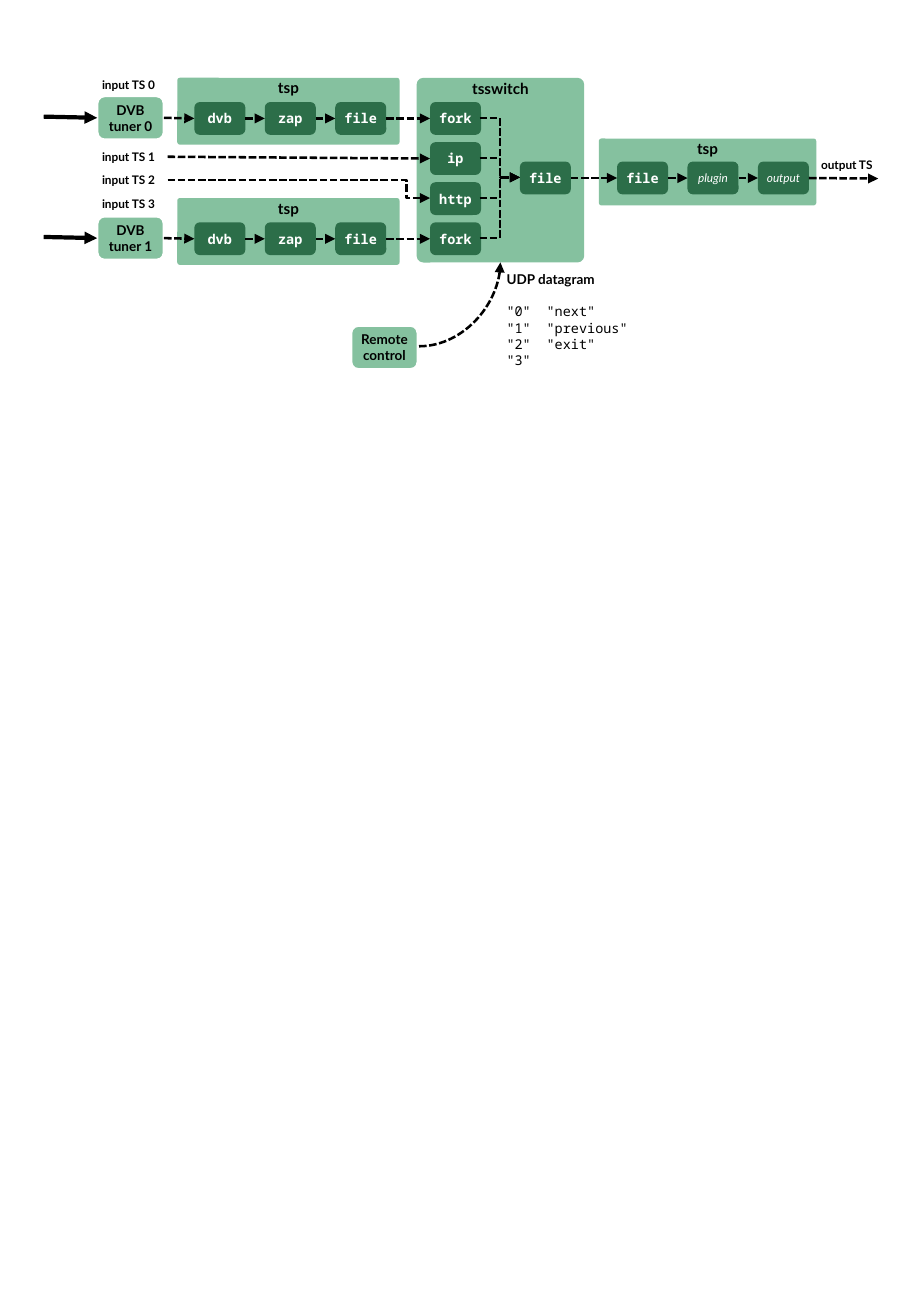
from dataclasses import dataclass

from lxml import etree
from pptx import Presentation
from pptx import util as u
from pptx.dml.color import RGBColor
from pptx.enum import dml, shapes, text
from pptx.oxml.ns import qn


@dataclass(frozen=True)
class Theme:
    """Colours, fonts and type sizes of the diagram."""
    black: str = "000000"
    white: str = "FFFFFF"
    light: str = "85C19F"
    dark: str = "2C6E49"
    sans: str = "Lato"
    mono: str = "Noto Sans Mono"
    title: int = 9
    body: int = 8
    small: int = 7
    thin: float = 1.5
    thick: float = 2.5


class Diagram:
    """Draws the boxes, labels and arrows of one slide in a theme."""

    def __init__(self, slide, theme):
        self.slide = slide
        self.theme = theme

    def apply(self, target, formats):
        for name, value in formats.items():
            setattr(target, name, value)

    def frame(self, shape, anchor, insets):
        left, top, right, bottom = map(u.Inches, insets)
        self.apply(shape.text_frame, {
            "word_wrap": True, "vertical_anchor": anchor,
            "margin_left": left, "margin_top": top,
            "margin_right": right, "margin_bottom": bottom})
        return shape.text_frame

    def add_words(self, paragraph, words, size, color=None, name=None,
                  bold=True, italic=False, alignment=text.PP_ALIGN.LEFT):
        paragraph.alignment = alignment
        run = paragraph.add_run()
        run.text = words
        self.apply(run.font, {
            "size": u.Pt(size), "name": name or self.theme.sans,
            "bold": bold, "italic": italic})
        run.font.color.rgb = RGBColor.from_string(color or self.theme.black)

    def box(self, place, fill, lines, size, insets=(0.04, 0.05, 0.04, 0.05),
            anchor=text.MSO_ANCHOR.MIDDLE, outlined=False, corner=None, **formats):
        shape = self.slide.shapes.add_shape(
            shapes.MSO_SHAPE.ROUNDED_RECTANGLE, *map(u.Inches, place))
        shape.shadow.inherit = False
        shape.fill.solid()
        shape.fill.fore_color.rgb = RGBColor.from_string(fill)
        if outlined:
            shape.line.color.rgb = RGBColor.from_string(self.theme.white)
            shape.line.width = u.Pt(self.theme.thin)
        else:
            shape.line.fill.background()
        if corner is not None:
            shape.adjustments[0] = corner
        frame = self.frame(shape, anchor, insets)
        for index, words in enumerate(lines):
            paragraph = frame.add_paragraph() if index else frame.paragraphs[0]
            self.add_words(paragraph, words, size,
                           alignment=text.PP_ALIGN.CENTER, **formats)
        return shape

    def panel(self, place, title):
        return self.box(place, self.theme.light, [title], self.theme.title,
                        insets=(0.1, 0, 0.1, 0.05),
                        anchor=text.MSO_ANCHOR.TOP, corner=0.04)

    def device(self, left, top, lines):
        return self.box((left, top, 0.55, 0.36), self.theme.light, lines,
                        self.theme.body, outlined=True)

    def command(self, left, top, words):
        return self.box((left, top, 0.42, 0.27), self.theme.dark, [words],
                        self.theme.body, color=self.theme.white,
                        name=self.theme.mono)

    def placeholder(self, left, top, words):
        return self.box((left, top, 0.42, 0.27), self.theme.dark, [words],
                        self.theme.small, insets=(0, 0.05, 0, 0.05),
                        color=self.theme.white, bold=False, italic=True)

    def label(self, place, words, size):
        shape = self.slide.shapes.add_textbox(*map(u.Inches, place))
        frame = self.frame(shape, text.MSO_ANCHOR.TOP, (0, 0, 0, 0))
        frame.auto_size = text.MSO_AUTO_SIZE.SHAPE_TO_FIT_TEXT
        self.add_words(frame.paragraphs[0], words, size)
        return frame

    def code_lines(self, frame, lines, gap, tab):
        for index, words in enumerate(lines):
            paragraph = frame.add_paragraph()
            paragraph.space_before = u.Pt(0 if index else gap)
            stops = etree.SubElement(paragraph._p.get_or_add_pPr(), qn("a:tabLst"))
            etree.SubElement(stops, qn("a:tab"), pos=str(u.Inches(tab)), algn="l")
            self.add_words(paragraph, words, self.theme.body,
                           name=self.theme.mono, bold=False)

    def arrow(self, start, end, kind=shapes.MSO_CONNECTOR.STRAIGHT, solid=False):
        points = [point if isinstance(point, tuple) else (0, 0)
                  for point in (start, end)]
        connector = self.slide.shapes.add_connector(
            kind, *(u.Inches(value) for point in points for value in point))
        if not isinstance(start, tuple):
            connector.begin_connect(start, 3)
        if not isinstance(end, tuple):
            connector.end_connect(end, 1)
        connector.line.color.rgb = RGBColor.from_string(self.theme.black)
        connector.line.width = u.Pt(self.theme.thick if solid else self.theme.thin)
        if not solid:
            connector.line.dash_style = dml.MSO_LINE.SQUARE_DOT
        properties = connector._element.spPr
        etree.SubElement(properties.find(qn("a:ln")), qn("a:tailEnd"), type="triangle")
        etree.SubElement(properties, qn("a:effectLst"))
        return properties.find(qn("a:prstGeom"))

    def elbow(self, start, end, bend=0.5):
        geometry = self.arrow(start, end, shapes.MSO_CONNECTOR.ELBOW)
        guides = geometry.find(qn("a:avLst"))
        etree.SubElement(guides, qn("a:gd"), name="adj1",
                         fmla=f"val {round(bend * 100000)}")

    def quarter_curve(self, start, end):
        geometry = self.arrow(start, end, shapes.MSO_CONNECTOR.CURVE)
        geometry.set("prst", "curvedConnector2")

    def chain(self, items):
        for start, end in zip(items, items[1:]):
            self.arrow(start, end)


def main():
    presentation = Presentation()
    presentation.slide_width = u.Inches(7.5)
    presentation.slide_height = u.Inches(10.83)
    slide = presentation.slides.add_slide(presentation.slide_layouts[6])
    theme = Theme()
    diagram = Diagram(slide, theme)

    rows = [0.84 + 0.33 * index for index in range(4)]
    centers = [row + 0.13 for row in rows]
    step = 0.58
    output_row = 1.33
    output_center = 1.46

    diagram.panel((3.43, 0.64, 1.38, 1.52), "tsswitch")
    inputs = [diagram.command(3.54, row, words)
              for row, words in zip(rows, ("fork", "ip", "http", "fork"))]
    switch_file = diagram.command(4.28, output_row, "file")
    for center in centers:
        diagram.elbow((3.95, center), (4.28, output_center))

    for number, index in enumerate((0, 3)):
        row = rows[index]
        diagram.panel((1.46, row - 0.2, 1.83, 0.55), "tsp")
        tuner = diagram.device(0.8, row - 0.05, ["DVB", f"tuner {number}"])
        plugins = [diagram.command(1.6 + step * column, row, words)
                   for column, words in enumerate(("dvb", "zap", "file"))]
        diagram.chain([tuner, *plugins, inputs[index]])
        diagram.arrow((0.36, centers[index] - 0.01), tuner, solid=True)

    diagram.panel((4.93, output_row - 0.19, 1.79, 0.55), "tsp")
    outputs = [diagram.command(5.08, output_row, "file"),
               diagram.placeholder(5.08 + step, output_row, "plugin"),
               diagram.placeholder(5.08 + 2 * step, output_row, "output")]
    diagram.chain([switch_file, *outputs, (7.23, 1.47)])

    diagram.arrow((1.38, 1.29), inputs[1])
    diagram.elbow((1.38, 1.48), (3.54, centers[2]), bend=0.91)
    for number, top in enumerate((0.64, 1.23, 1.42, 1.62)):
        diagram.label((0.84, top, 0.6, 0.12), f"input TS {number}", theme.small)
    diagram.label((6.76, 1.3, 0.55, 0.12), "output TS", theme.small)

    diagram.device(2.89, 2.68, ["Remote control"])
    diagram.quarter_curve((3.45, 2.85), (4.12, 2.16))
    datagram = diagram.label((4.17, 2.23, 1.05, 0.81), "UDP datagram", theme.body)
    diagram.code_lines(datagram, ['"0"\t"next"', '"1"\t"previous"',
                                  '"2"\t"exit"', '"3"'], gap=9.6, tab=0.33)

    presentation.save("out.pptx")


if __name__ == "__main__":
    main()
